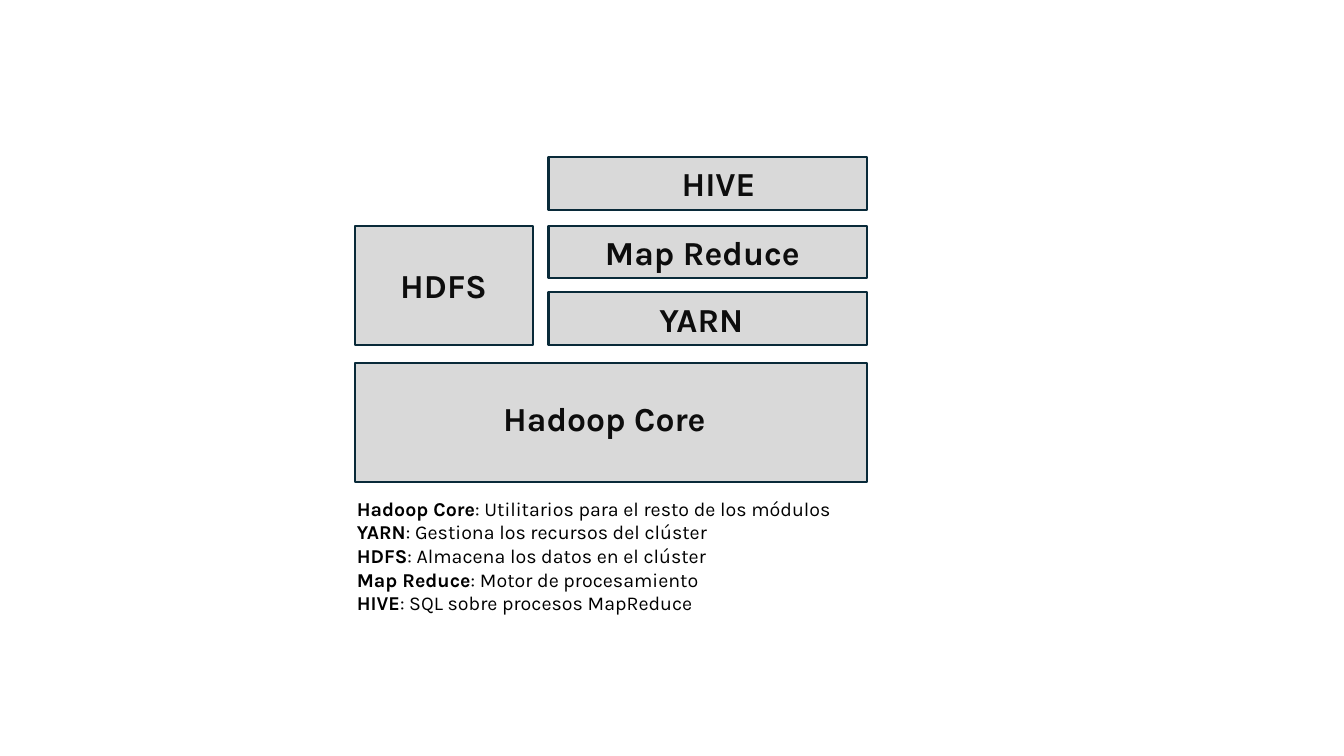
from dataclasses import dataclass

from pptx import Presentation
from pptx.dml.color import RGBColor
from pptx.enum.shapes import MSO_SHAPE
from pptx.enum.text import MSO_ANCHOR, PP_ALIGN
from pptx.util import Inches, Pt


@dataclass(frozen=True)
class Theme:
    """Colours, font and type sizes of the slide."""
    face: str = "Karla"
    fill: RGBColor = RGBColor(0xD9, 0xD9, 0xD9)
    edge: RGBColor = RGBColor(0x09, 0x2A, 0x39)
    label: RGBColor = RGBColor(0x0D, 0x0D, 0x0D)
    text: RGBColor = RGBColor(0, 0, 0)
    line: Pt = Pt(1.5)
    big: Pt = Pt(24)
    small: Pt = Pt(14)


THEME = Theme()
LEFT, STACK = 3.52, 5.44
WIDE, SIDE, FULL = 3.16, 1.77, 5.08
LOW, HIGH = 0.52, 1.18

BLOCKS = [
    ("Hadoop Core", LEFT, 3.6, FULL, HIGH, 1.47, 0.08),
    ("HDFS", LEFT, 2.24, SIDE, HIGH, 0.45, 0),
    ("YARN", STACK, 2.9, WIDE, LOW, 1.1, 0),
    ("Map Reduce", STACK, 2.24, WIDE, LOW, 0.56, 0),
    ("HIVE", STACK, 1.56, WIDE, LOW, 1.32, 0),
]

TERMS = [
    ("Hadoop Core", "Utilitarios para el resto de los módulos"),
    ("YARN", "Gestiona los recursos del clúster"),
    ("HDFS", "Almacena los datos en el clúster"),
    ("Map Reduce", "Motor de procesamiento"),
    ("HIVE", "SQL sobre procesos MapReduce"),
]


def style(run, size, color, bold):
    """Format one run."""
    font = run.font
    font.name = THEME.face
    font.size = size
    font.bold = bold
    font.color.rgb = color


def add_block(slide, name, left, top, width, height, indent, lift):
    """Draw a module of the stack with its name inside."""
    block = slide.shapes.add_shape(
        MSO_SHAPE.RECTANGLE,
        Inches(left), Inches(top), Inches(width), Inches(height))
    block.shadow.inherit = False
    block.fill.solid()
    block.fill.fore_color.rgb = THEME.fill
    block.line.color.rgb = THEME.edge
    block.line.width = THEME.line
    frame = block.text_frame
    frame.word_wrap = True
    frame.vertical_anchor = MSO_ANCHOR.MIDDLE
    frame.margin_left = Inches(indent)
    frame.margin_bottom = Inches(lift)
    frame.margin_top = frame.margin_right = 0
    frame.text = name
    para = frame.paragraphs[0]
    para.alignment = PP_ALIGN.LEFT
    style(para.runs[0], THEME.big, THEME.label, True)


def add_terms(slide, terms):
    """Write the meaning of each module below the stack."""
    box = slide.shapes.add_textbox(
        Inches(3.44), Inches(4.88), Inches(5.95), Inches(1.28))
    frame = box.text_frame
    frame.word_wrap = True
    frame.text = "\n".join(name for name, _ in terms)
    for para, (_, sense) in zip(frame.paragraphs, terms):
        style(para.runs[0], THEME.small, THEME.text, True)
        run = para.add_run()
        run.text = f": {sense}"
        style(run, THEME.small, THEME.text, False)


def main():
    """Build the slide and save it."""
    deck = Presentation()
    deck.slide_width = Inches(13.33)
    deck.slide_height = Inches(7.5)
    slide = deck.slides.add_slide(deck.slide_layouts[6])
    for block in BLOCKS:
        add_block(slide, *block)
    add_terms(slide, TERMS)
    deck.save("out.pptx")


if __name__ == "__main__":
    main()
